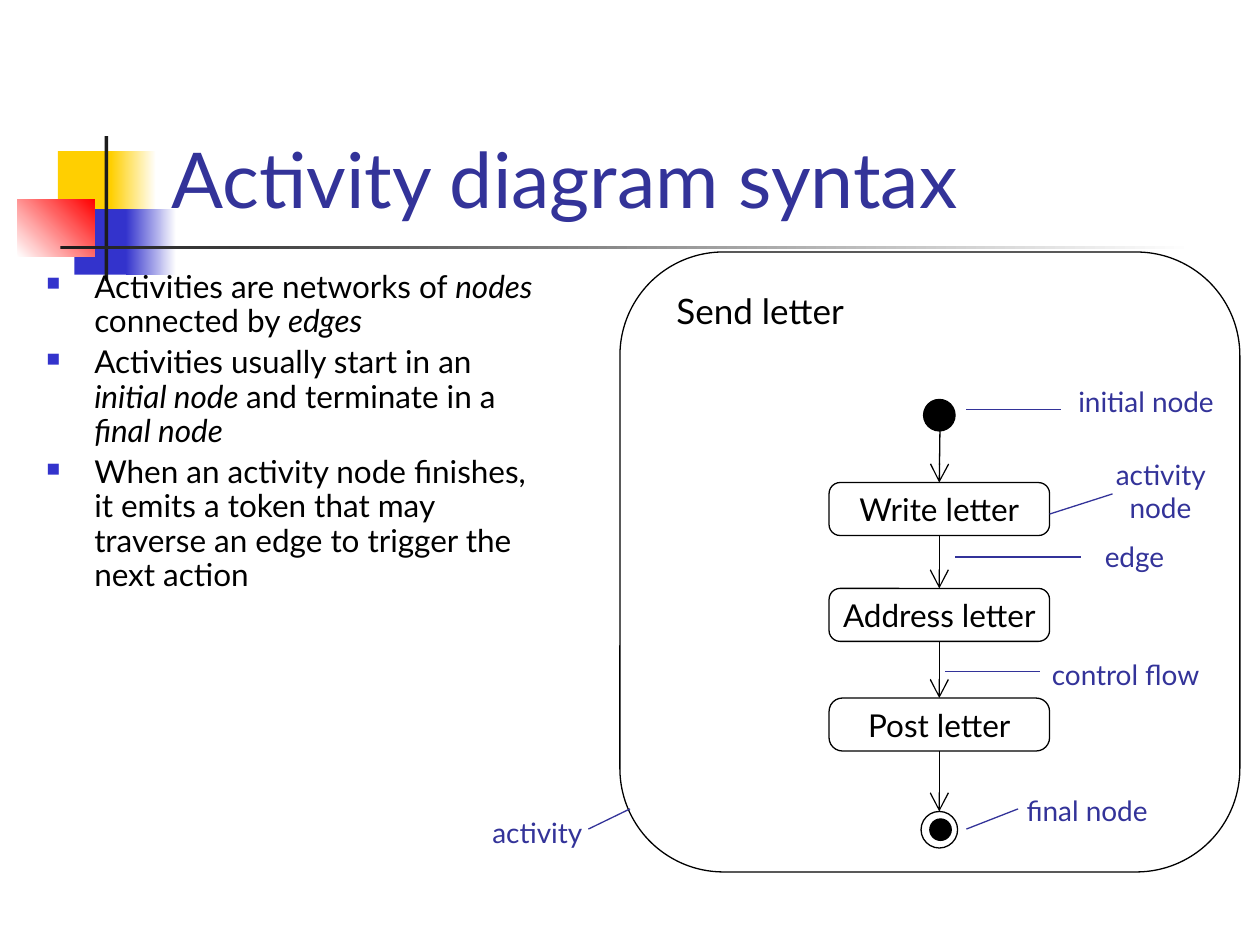
from lxml.etree import SubElement
from pptx import Presentation
from pptx.dml.color import RGBColor
from pptx.enum.shapes import MSO_CONNECTOR, MSO_SHAPE
from pptx.enum.text import MSO_ANCHOR, PP_ALIGN
from pptx.oxml.ns import qn
from pptx.util import Inches, Pt

COLORS = {"ink": "000000", "paper": "FFFFFF", "navy": "333399", "blue": "3333CC",
          "gold": "FFCF01", "red": "FF0000", "dark": "1C1C1C"}
HUES = {name: RGBColor.from_string(code) for name, code in COLORS.items()}


def put(host, kind, spot, fill=None, line=None):
    shape = host.add_shape(kind, *map(Inches, spot))
    shape.shadow.inherit = False
    if fill:
        shape.fill.solid()
        shape.fill.fore_color.rgb = HUES[fill]
    else:
        shape.fill.background()
    if line:
        shape.line.color.rgb = HUES[line]
        shape.line.width = Pt(0.75)
    else:
        shape.line.fill.background()
    return shape


def write(para, text, size, color, **more):
    run = para.add_run()
    run.text = text
    for key, value in {"name": "Lato", "size": Pt(size), **more}.items():
        setattr(run.font, key, value)
    run.font.color.rgb = HUES[color]


deck = Presentation()
deck.slide_width, deck.slide_height = Inches(10), Inches(7.5)
slide = deck.slides.add_slide(deck.slide_layouts[5])
shapes = slide.shapes

# Corner ornament: plain blocks and blocks that fade
blocks = [
    ((0.46, 1.2, 0.48, 0.52), "gold", None, 0),
    ((0.88, 1.2, 0.36, 0.52), "gold", "paper", 0),
    ((0.59, 1.66, 0.46, 0.52), "blue", None, 0),
    ((1, 1.66, 0.4, 0.52), "blue", "paper", 0),
    ((0.14, 1.58, 0.61, 0.46), "paper", "red", 45),
    ((0.83, 1.08, 0.03, 1.15), "dark", None, 0),
    ((0.48, 1.95, 9, 0.03), "dark", "paper", 0),
]
for spot, first, last, angle in blocks:
    block = put(shapes, MSO_SHAPE.RECTANGLE, spot, first)
    if last:
        block.fill.gradient()
        block.fill.gradient_angle = angle
        for stop, hue, place in zip(block.fill.gradient_stops, (first, last), (0, 1)):
            stop.color.rgb = HUES[hue]
            stop.position = place

# Title, in front of the ornament
title = shapes.title
title.element.getparent().append(title.element)
frame = {"left": 1.26, "top": 0.23, "width": 8.52, "height": 1.6}
for key, value in frame.items():
    setattr(title, key, Inches(value))
title.text_frame.vertical_anchor = MSO_ANCHOR.BOTTOM
title.text_frame.paragraphs[0].alignment = PP_ALIGN.LEFT
write(title.text_frame.paragraphs[0], "Activity diagram syntax", 44, "navy")

# Bullets: every second run is italic
points = [
    ["Activities are networks of ", "nodes", " connected by ", "edges"],
    ["Activities usually start in an ", "initial node ", "and terminate in a ", "final node"],
    ["When an activity node finishes, it emits a token that may "
     "traverse an edge to trigger the next action"],
]
body = shapes.add_textbox(*map(Inches, (0.27, 2.1, 4.17, 4.65))).text_frame
body.word_wrap = True
for i, point in enumerate(points):
    para = body.add_paragraph() if i else body.paragraphs[0]
    para.line_spacing = 0.9
    para.space_before = Pt(4.5)
    props = para._p.get_or_add_pPr()
    props.set("marL", str(Inches(0.38)))
    props.set("indent", str(-Inches(0.38)))
    SubElement(SubElement(props, qn("a:buClr")), qn("a:srgbClr"), val=COLORS["blue"])
    SubElement(props, qn("a:buSzPct"), val="60000")
    SubElement(props, qn("a:buChar"), char="■")
    for j, text in enumerate(point):
        write(para, text, 18, "ink", italic=j % 2 == 1)

# Activity frame
outer = put(shapes, MSO_SHAPE.ROUNDED_RECTANGLE, (4.92, 2, 4.92, 4.92), None, "ink")
outer.adjustments[0] = 0.167

# Initial and final nodes
put(shapes, MSO_SHAPE.OVAL, (7.33, 3.17, 0.25, 0.25), "ink", "ink")
final = shapes.add_group_shape().shapes
put(final, MSO_SHAPE.OVAL, (7.38, 6.5, 0.17, 0.17), "ink", "ink")
ring = put(final, MSO_SHAPE.OVAL, (7.31, 6.44, 0.29, 0.29), None, "ink")

# Action nodes
steps = []
for text, top, bend in [("Write letter", 3.83, 0.208), ("Address letter", 4.67, 0.208),
                        ("Post letter", 5.54, 0.253)]:
    step = put(shapes, MSO_SHAPE.ROUNDED_RECTANGLE, (6.58, top, 1.75, 0.42), "paper", "ink")
    step.adjustments[0] = bend
    step.text_frame.word_wrap = False
    step.text_frame.vertical_anchor = MSO_ANCHOR.MIDDLE
    step.text_frame.paragraphs[0].alignment = PP_ALIGN.CENTER
    write(step.text_frame.paragraphs[0], text, 18, "ink")
    steps.append(step)

# Control flow arrows, then label leaders
flows = [((7.46, 3.42, 7.46, 3.83), None, steps[0])]
flows += [((7.46, 4, 7.46, 5), a, b) for a, b in zip(steps, steps[1:] + [ring])]
leads = [(7.5, 5.33, 8.25, 5.33), (4.67, 6.58, 5, 6.42), (7.67, 3.25, 8.42, 3.25),
         (8.33, 4.08, 8.83, 3.92), (7.67, 6.58, 8.08, 6.42), (7.58, 4.42, 8.58, 4.42)]
for ends, start, stop in flows + [(lead, None, None) for lead in leads]:
    line = shapes.add_connector(MSO_CONNECTOR.STRAIGHT, *map(Inches, ends))
    line.line.color.rgb = HUES["ink" if stop else "navy"]
    line.line.width = Pt(0.75)
    if start:
        line.begin_connect(start, 2)
    if stop:
        line.end_connect(stop, 0)
        SubElement(line.line._get_or_add_ln(), qn("a:tailEnd"), type="arrow", w="lg", len="lg")
    SubElement(line._element.spPr, qn("a:effectLst"))

# Labels
labels = [
    ("Send letter", (5.27, 2.25, 1.62, 0.44), 20, "ink", False),
    ("activity node", (8.5, 3.58, 1.42, 0.64), 16, "navy", True),
    ("control flow", (8.25, 5.17, 1.44, 0.37), 16, "navy", True),
    ("activity", (3.81, 6.42, 0.93, 0.37), 16, "navy", False),
    ("initial node", (8.46, 3, 1.36, 0.37), 16, "navy", False),
    ("final node", (8.05, 6.25, 1.24, 0.37), 16, "navy", False),
    ("edge", (8.67, 4.23, 0.83, 0.37), 16, "navy", True),
]
for text, spot, size, color, wrap in labels:
    label = shapes.add_textbox(*map(Inches, spot)).text_frame
    label.word_wrap = wrap
    if text == "activity node":
        label.paragraphs[0].alignment = PP_ALIGN.CENTER
    write(label.paragraphs[0], text, size, color)

deck.save("out.pptx")
